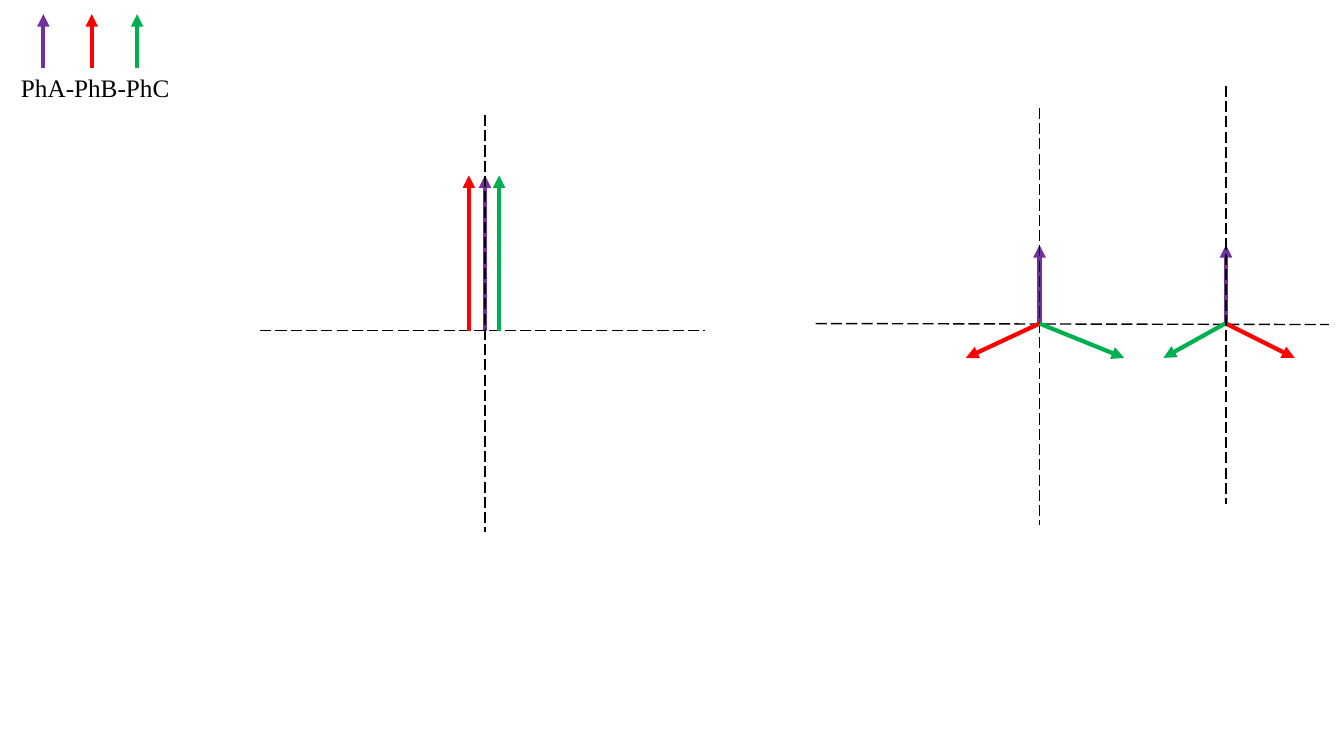
from lxml import etree
from pptx import Presentation
from pptx.dml.color import RGBColor
from pptx.enum import dml, shapes, text
from pptx.oxml.ns import qn
from pptx.util import Inches, Pt

PURPLE = RGBColor(0x70, 0x30, 0xA0)
RED = RGBColor(0xFF, 0x00, 0x00)
GREEN = RGBColor(0x00, 0xB0, 0x50)
BLACK = RGBColor(0x00, 0x00, 0x00)

LEGEND = {"text": "PhA-PhB-PhC", "box": (0.11, 0.67, 1.73, 0.4)}
LEGEND_ARROWS = [(0.43, PURPLE), (0.91, RED), (1.36, GREEN)]
LEGEND_TOP, LEGEND_BOTTOM = 0.14, 0.67

AXIS, PHASOR = "axis", "phasor"
# Each line: kind, colour, start, end; listed from back to front
BALANCED_SETS = [
    (PHASOR, PURPLE, (10.31, 3.21), (10.31, 2.43)),
    (AXIS, BLACK, (8.09, 3.21), (13.18, 3.22)),
    (AXIS, BLACK, (10.31, 1.07), (10.31, 5.21)),
    (PHASOR, RED, (10.31, 3.21), (9.58, 3.55)),
    (PHASOR, GREEN, (10.31, 3.21), (11.15, 3.55)),
    (PHASOR, PURPLE, (12.16, 3.22), (12.16, 2.43)),
    (PHASOR, RED, (12.16, 3.21), (12.84, 3.55)),
    (PHASOR, GREEN, (12.15, 3.21), (11.54, 3.55)),
    (AXIS, BLACK, (12.16, 0.85), (12.16, 5)),
]
ZERO_SEQUENCE = [
    (PHASOR, PURPLE, (4.81, 3.28), (4.81, 1.74)),
    (AXIS, BLACK, (2.58, 3.28), (6.99, 3.28)),
    (AXIS, BLACK, (4.81, 1.14), (4.81, 5.28)),
    (PHASOR, RED, (4.65, 3.28), (4.65, 1.74)),
    (PHASOR, GREEN, (4.95, 3.28), (4.95, 1.74)),
]


def draw_line(slide, kind, color, start, end):
    """Draw a dashed axis or a phasor with an arrowhead at its end."""
    line = slide.shapes.add_connector(
        shapes.MSO_CONNECTOR.STRAIGHT, *map(Inches, start + end))
    line.line.color.rgb = color
    if kind == AXIS:
        line.line.width = Pt(1)
        line.line.dash_style = dml.MSO_LINE.LONG_DASH
    else:
        line.line.width = Pt(3)
        outline = line.line._get_or_add_ln()
        etree.SubElement(outline, qn("a:tailEnd"), type="triangle")
    etree.SubElement(line._element.spPr, qn("a:effectLst"))


def add_legend_label(slide):
    box = slide.shapes.add_textbox(*map(Inches, LEGEND["box"]))
    box.text_frame.word_wrap = True
    box.text_frame.auto_size = text.MSO_AUTO_SIZE.SHAPE_TO_FIT_TEXT
    span = box.text_frame.paragraphs[0].add_run()
    span.text = LEGEND["text"]
    for name, value in {"name": "Times New Roman", "size": Pt(18)}.items():
        setattr(span.font, name, value)
    span.font.color.rgb = BLACK


def main():
    deck = Presentation()
    deck.slide_width, deck.slide_height = Inches(13.33), Inches(7.5)
    slide = deck.slides.add_slide(deck.slide_layouts[6])
    for x, color in LEGEND_ARROWS:
        draw_line(slide, PHASOR, color, (x, LEGEND_BOTTOM), (x, LEGEND_TOP))
    add_legend_label(slide)
    for line in BALANCED_SETS + ZERO_SEQUENCE:
        draw_line(slide, *line)
    deck.save("out.pptx")


if __name__ == "__main__":
    main()
